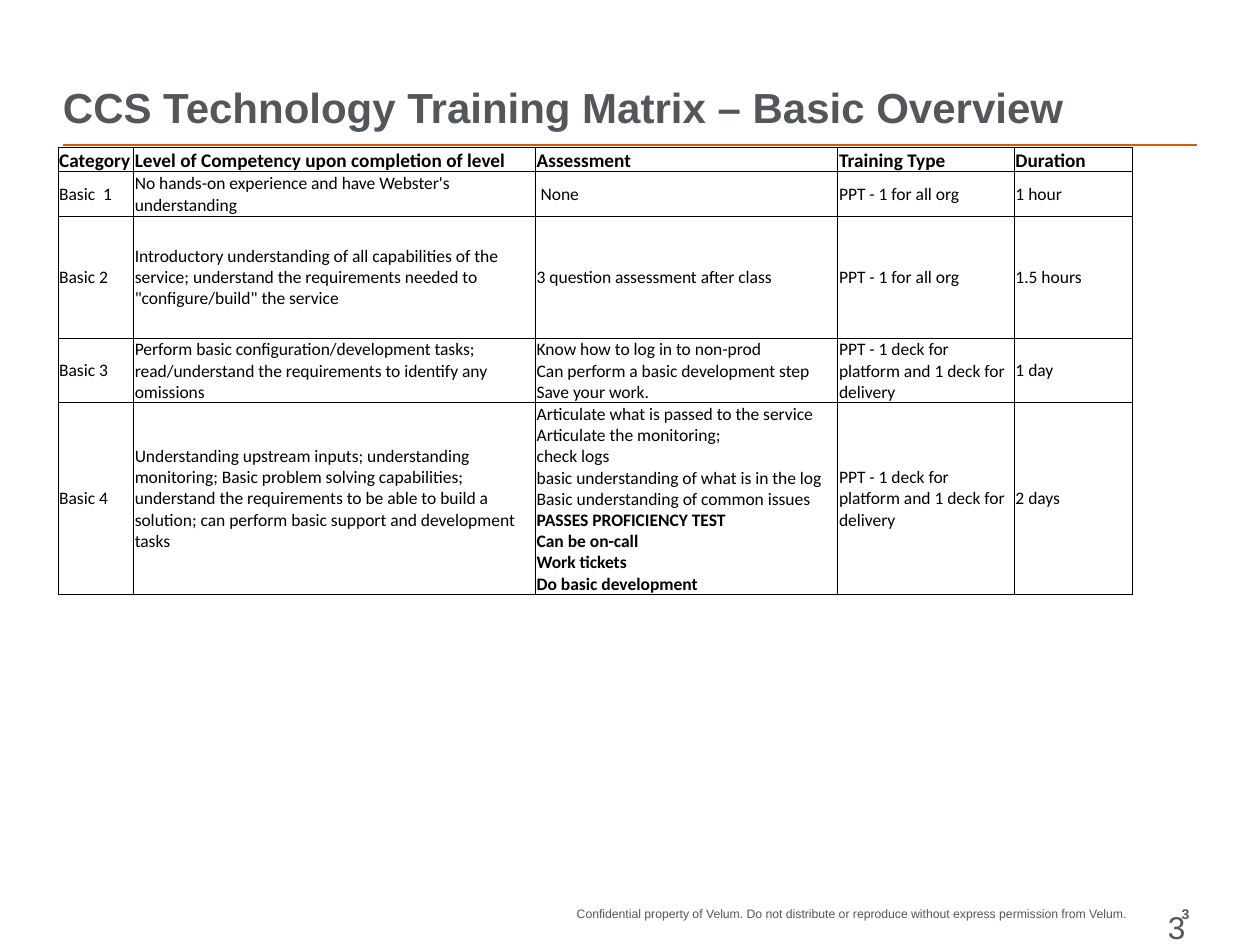
from dataclasses import dataclass

from lxml import etree
from pptx import Presentation
from pptx import util as u
from pptx.dml.color import RGBColor
from pptx.enum import shapes, text
from pptx.oxml.ns import qn

PX = 9144  # EMU per px, 100 px to the inch
COLORS = {"rule": "D45D00", "gray": "53565A", "ink": "000000", "cell": "FFFFFF"}
TOP, MIDDLE, BOTTOM = (text.MSO_ANCHOR.TOP, text.MSO_ANCHOR.MIDDLE,
                       text.MSO_ANCHOR.BOTTOM)
LEFT, RIGHT = text.PP_ALIGN.LEFT, text.PP_ALIGN.RIGHT


@dataclass(frozen=True)
class Style:
    size: int
    font: str = "Arial"
    color: str = "gray"
    bold: bool = False


@dataclass(frozen=True)
class Label:
    wording: str
    box: tuple[int, int, int, int]
    style: Style
    align: text.PP_ALIGN = LEFT
    anchor: text.MSO_ANCHOR = TOP
    insets: tuple[int, int, int, int] = (0, 0, 0, 0)


@dataclass(frozen=True)
class Level:
    category: str
    competency: str
    assessment: str
    training: str
    duration: str
    height: int
    proficiency: str = ""


HEADING = Style(11, "Calibri", "ink", True)
BODY = Style(10, "Calibri", "ink")
STRONG = Style(10, "Calibri", "ink", True)

LABELS = [
    Label("Confidential property of Velum. Do not distribute or reproduce "
          "without express permission from Velum.",
          (333, 719, 561, 23), Style(7), RIGHT),
    Label("3", (894, 719, 50, 23), Style(8, bold=True), RIGHT),
    Label("CCS Technology Training Matrix – Basic Overview",
          (50, 21, 900, 84), Style(24, bold=True), anchor=BOTTOM),
    Label("3", (917, 716, 33, 17), Style(18), insets=(10, 5, 10, 5)),
]

ONE_FOR_ALL = "PPT - 1 for all org"
TWO_DECKS = "PPT - 1 deck for platform and 1 deck for delivery"
COLUMN_WIDTHS = [60, 319, 240, 140, 94]
HEADER = Level("Category", "Level of Competency upon completion of level",
               "Assessment", "Training Type", "Duration", 19)
LEVELS = [
    Level("Basic  1", "No hands-on experience and have Webster's understanding",
          " None", ONE_FOR_ALL, "1 hour", 35),
    Level("Basic 2",
          "Introductory understanding of all capabilities of the service; "
          "understand the requirements needed to \"configure/build\" the service",
          "3 question assessment after class", ONE_FOR_ALL, "1.5 hours", 97),
    Level("Basic 3",
          "Perform basic configuration/development tasks; read/understand "
          "the requirements to identify any omissions",
          "Know how to log in to non-prod\nCan perform a basic development step\n"
          "Save your work.", TWO_DECKS, "1 day", 51),
    Level("Basic 4",
          "Understanding upstream inputs; understanding monitoring; Basic problem "
          "solving capabilities; understand the requirements to be able to build a "
          "solution; can perform basic support and development tasks",
          "Articulate what is passed to the service\nArticulate the monitoring;\n"
          "check logs\nbasic understanding of what is in the log\n"
          "Basic understanding of common issues\n", TWO_DECKS, "2 days", 152,
          "PASSES PROFICIENCY TEST\nCan be on-call\nWork tickets\n"
          "Do basic development"),
]


def px(length: int) -> u.Emu:
    return u.Emu(length * PX)


def rgb(name: str) -> RGBColor:
    return RGBColor.from_string(COLORS[name])


def add_runs(paragraph, wording: str, style: Style) -> None:
    """Add one run per line, with a line break at each newline."""
    for index, line in enumerate(wording.split("\n")):
        if index:
            paragraph.add_line_break()
        if line:
            run = paragraph.add_run()
            run.text = line
            run.font.name = style.font
            run.font.size = u.Pt(style.size)
            run.font.bold = style.bold
            run.font.color.rgb = rgb(style.color)


def set_margins(holder, insets: tuple[int, int, int, int]) -> None:
    (holder.margin_left, holder.margin_top,
     holder.margin_right, holder.margin_bottom) = map(px, insets)


def draw_label(slide, label: Label) -> None:
    frame = slide.shapes.add_textbox(*map(px, label.box)).text_frame
    frame.word_wrap = True
    frame.vertical_anchor = label.anchor
    set_margins(frame, label.insets)
    paragraph = frame.paragraphs[0]
    paragraph.alignment = label.align
    add_runs(paragraph, label.wording, label.style)


def draw_rule(slide) -> None:
    rule = slide.shapes.add_connector(
        shapes.MSO_CONNECTOR.STRAIGHT, *map(px, (50, 115, 950, 115)))
    rule.line.color.rgb = rgb("rule")
    rule.line.width = u.Pt(1)
    etree.SubElement(rule._element.spPr, qn("a:effectLst"))


def add_borders(cell) -> None:
    properties = cell._tc.get_or_add_tcPr()
    for position, side in enumerate(("a:lnL", "a:lnR", "a:lnT", "a:lnB")):
        border = etree.Element(qn(side), w=str(u.Pt(0.5)))
        fill = etree.SubElement(border, qn("a:solidFill"))
        etree.SubElement(fill, qn("a:srgbClr"), val=COLORS["ink"])
        properties.insert(position, border)


def draw_cell(cell, wording: str, style: Style, anchor: text.MSO_ANCHOR,
              strong: str = "") -> None:
    cell.fill.solid()
    cell.fill.fore_color.rgb = rgb("cell")
    cell.vertical_anchor = anchor
    set_margins(cell, (1, 1, 1, 0))
    add_borders(cell)
    paragraph = cell.text_frame.paragraphs[0]
    add_runs(paragraph, wording, style)
    if strong:
        add_runs(paragraph, strong, STRONG)


def draw_matrix(slide, levels: list[Level]) -> None:
    matrix = slide.shapes.add_table(
        len(levels), len(COLUMN_WIDTHS), px(46), px(117),
        px(sum(COLUMN_WIDTHS)), px(sum(level.height for level in levels))).table
    for column, width in zip(matrix.columns, COLUMN_WIDTHS):
        column.width = px(width)
    for row, level in zip(matrix.rows, levels):
        row.height = px(level.height)
        is_header = level is HEADER
        style, anchor = (HEADING, BOTTOM) if is_header else (BODY, MIDDLE)
        category, competency, assessment, training, duration = row.cells
        draw_cell(category, level.category, style, anchor)
        draw_cell(competency, level.competency, style, TOP if is_header else anchor)
        draw_cell(assessment, level.assessment, style, anchor, level.proficiency)
        draw_cell(training, level.training, style, anchor)
        draw_cell(duration, level.duration, style, anchor)


def main() -> None:
    deck = Presentation()
    deck.slide_width, deck.slide_height = px(1000), px(750)
    slide = deck.slides.add_slide(deck.slide_layouts[6])
    draw_rule(slide)
    for label in LABELS:
        draw_label(slide, label)
    draw_matrix(slide, [HEADER, *LEVELS])
    deck.save("out.pptx")


if __name__ == "__main__":
    main()
